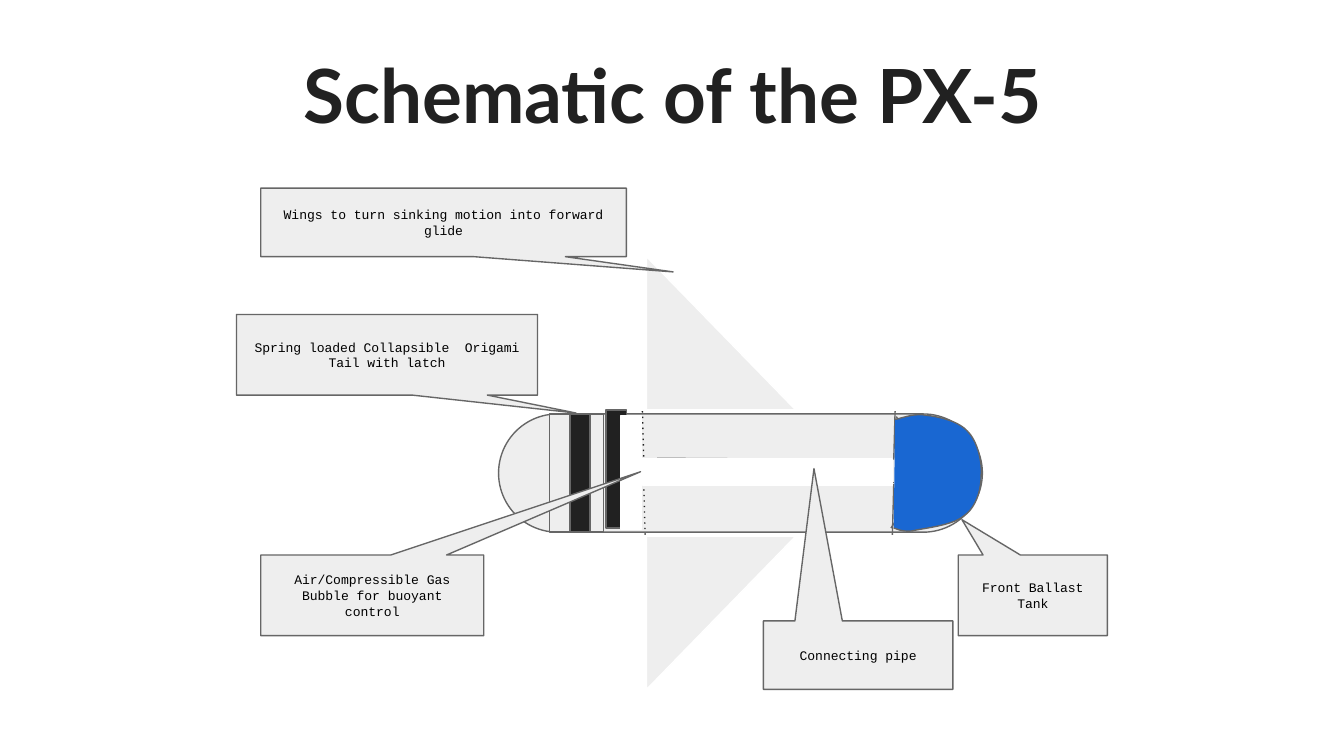
from pptx import Presentation
from pptx.dml.color import RGBColor
from pptx.enum.dml import MSO_LINE
from pptx.enum.shapes import MSO_CONNECTOR, MSO_SHAPE as SH
from pptx.enum.text import MSO_ANCHOR, PP_ALIGN
from pptx.oxml.ns import qn
from pptx.util import Inches, Pt
from lxml import etree

LIGHT, DARK, GRAY, WHITE, BLUE = "EEEEEE", "212121", "666666", "FFFFFF", "1967D2"


def color(value):
    return RGBColor.from_string(value)


def write(s, text, size=7, font="Courier New", hue="000000", bold=False, spacing=1.0):
    tf = s.text_frame
    tf.word_wrap = True
    tf.vertical_anchor = MSO_ANCHOR.MIDDLE
    tf.margin_left = tf.margin_right = tf.margin_top = tf.margin_bottom = Inches(0.1)
    p = tf.paragraphs[0]
    p.alignment = PP_ALIGN.CENTER
    p.line_spacing = spacing
    r = p.add_run()
    r.text = text
    r.font.name = font
    r.font.size = Pt(size)
    r.font.bold = bold
    r.font.color.rgb = color(hue)


prs = Presentation()
prs.slide_width = Inches(10)
prs.slide_height = Inches(10 * 9 / 16)
slide = prs.slides.add_slide(prs.slide_layouts[6])
shapes = slide.shapes

title = shapes.add_textbox(Inches(0.33), Inches(0.33), Inches(9.35), Inches(0.82))
write(title, "Schematic of the PX-5", size=40, font="Lato", hue=DARK, bold=True, spacing=0.9)

hull = [
    (SH.RIGHT_TRIANGLE, 4.81, 1.91, 1.11, 1.14, LIGHT, WHITE),
    (SH.RIGHT_TRIANGLE, 4.81, 3.99, 1.11, 1.14, LIGHT, WHITE),
    (SH.ROUNDED_RECTANGLE, 3.71, 3.08, 3.6, 0.88, LIGHT, GRAY),
    (SH.RECTANGLE, 4.51, 3.05, 0.15, 0.88, DARK, GRAY),
    (SH.RECTANGLE, 4.34, 3.08, 0.15, 0.88, LIGHT, GRAY),
    (SH.RECTANGLE, 4.24, 3.08, 0.15, 0.88, DARK, GRAY),
    (SH.RECTANGLE, 4.09, 3.08, 0.15, 0.88, LIGHT, GRAY),
]
covers = [
    (SH.RECTANGLE, 4.78, 3.41, 1.86, 0.2, WHITE, WHITE),
    (SH.RECTANGLE, 4.62, 3.09, 0.15, 0.85, WHITE, WHITE),
]
lines = [
    (4.78, 3.06, 4.79, 3.42, DARK),
    (4.79, 3.6, 4.8, 3.98, DARK),
    (4.79, 3.41, 4.94, 3.41, DARK),
    (4.79, 3.59, 4.94, 3.59, DARK),
    (6.66, 3.06, 6.65, 3.42, GRAY),
    (6.65, 3.6, 6.64, 3.98, GRAY),
    (6.65, 3.41, 6.5, 3.41, GRAY),
    (6.65, 3.59, 6.5, 3.59, GRAY),
    (6.53, 3.42, 4.89, 3.41, GRAY),
    (6.54, 3.6, 4.89, 3.59, GRAY),
]

for part in hull + lines + covers:
    if part in lines:
        x1, y1, x2, y2, hue = part
        s = shapes.add_connector(MSO_CONNECTOR.STRAIGHT, Inches(x1), Inches(y1), Inches(x2), Inches(y2))
        etree.SubElement(s._element.spPr, qn("a:effectLst"))
        if hue == DARK:
            s.line.dash_style = MSO_LINE.ROUND_DOT
            s._element.spPr.find(".//" + qn("a:prstDash")).set("val", "dot")
    else:
        kind, x, y, w, h, fill, hue = part
        s = shapes.add_shape(kind, Inches(x), Inches(y), Inches(w), Inches(h))
        s.shadow.inherit = False
        s.fill.solid()
        s.fill.fore_color.rgb = color(fill)
        if kind == SH.ROUNDED_RECTANGLE:
            s.adjustments[0] = 0.5
        if part == hull[1]:
            s.rotation = 180
            s._element.spPr.find(qn("a:xfrm")).set("flipH", "1")
    s.line.color.rgb = color(hue)
    s.line.width = Pt(0.75)

curves = [
    (None, (6.67, 3.1), [
        (6.7, 3.17, 6.87, 3.34, 6.86, 3.48),
        (6.86, 3.62, 6.67, 3.86, 6.63, 3.93),
    ]),
    (BLUE, (6.66, 3.12), [
        (6.69, 3.12, 6.8, 3.07, 6.89, 3.09),
        (6.98, 3.1, 7.13, 3.13, 7.2, 3.21),
        (7.27, 3.28, 7.31, 3.43, 7.3, 3.54),
        (7.3, 3.65, 7.26, 3.78, 7.17, 3.84),
        (7.09, 3.91, 6.87, 3.93, 6.79, 3.95),
        (6.7, 3.96, 6.67, 3.93, 6.65, 3.93),
    ]),
]
STEPS = 10
for fill, start, beziers in curves:
    points = [start]
    for bx, by, cx, cy, dx, dy in beziers:
        ax, ay = points[-1]
        for i in range(1, STEPS + 1):
            t = i / STEPS
            u = 1 - t
            weights = (u**3, 3 * u * u * t, 3 * u * t * t, t**3)
            points.append((
                sum(k * v for k, v in zip(weights, (ax, bx, cx, dx))),
                sum(k * v for k, v in zip(weights, (ay, by, cy, dy))),
            ))
    points = [(Inches(x), Inches(y)) for x, y in points]
    builder = shapes.build_freeform(*points[0])
    builder.add_line_segments(points[1:], close=False)
    s = builder.convert_to_shape()
    s.shadow.inherit = False
    if fill:
        s.fill.solid()
        s.fill.fore_color.rgb = color(fill)
    else:
        s.fill.background()
    s.line.color.rgb = color(GRAY)
    s.line.width = Pt(0.75)

callouts = [
    ("Front Ballast Tank", 7.13, 4.13, 1.11, 0.6, -0.475, -0.938),
    ("Spring loaded Collapsible  Origami Tail with latch", 1.76, 2.34, 2.24, 0.6, 0.628, 0.723),
    ("Wings to turn sinking motion into forward glide", 1.94, 1.4, 2.72, 0.51, 0.628, 0.723),
    ("Air/Compressible Gas Bubble for buoyant control", 1.94, 4.13, 1.66, 0.6, 1.203, -1.533),
    ("Connecting pipe", 5.68, 4.62, 1.41, 0.51, -0.233, -2.723),
]
for text, x, y, w, h, tip_x, tip_y in callouts:
    s = shapes.add_shape(SH.ROUNDED_RECTANGULAR_CALLOUT, Inches(x), Inches(y), Inches(w), Inches(h))
    s.shadow.inherit = False
    for i, value in enumerate((tip_x, tip_y, 0)):
        s.adjustments[i] = value
    s.fill.solid()
    s.fill.fore_color.rgb = color(LIGHT)
    s.line.color.rgb = color(GRAY)
    s.line.width = Pt(0.75)
    write(s, text)

prs.save("out.pptx")
